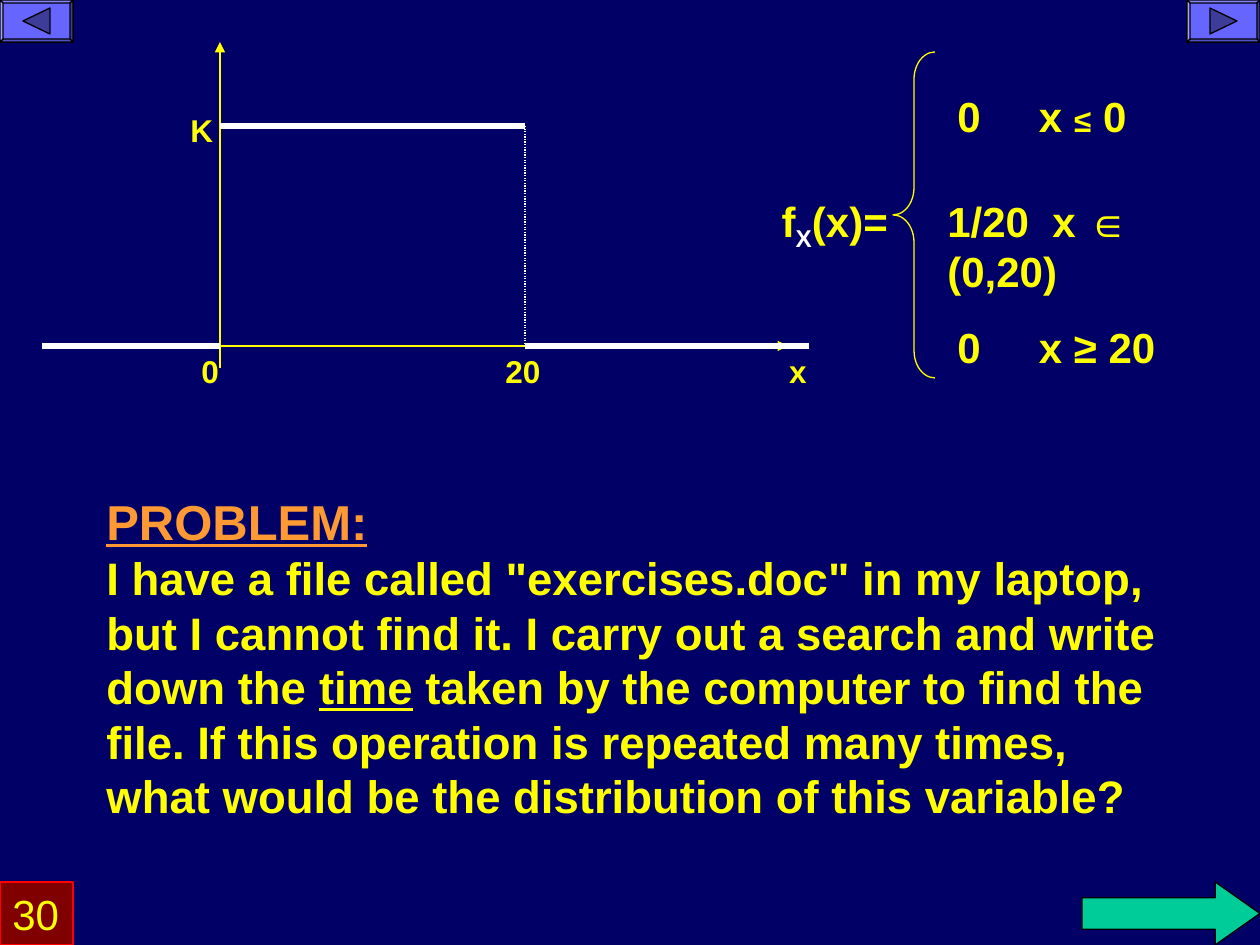
from lxml import etree
from pptx import Presentation
from pptx.dml.color import RGBColor
from pptx.enum.dml import MSO_LINE
from pptx.enum.shapes import MSO_CONNECTOR, MSO_SHAPE
from pptx.enum.text import MSO_ANCHOR, PP_ALIGN
from pptx.oxml.ns import qn
from pptx.util import Pt

NAVY = RGBColor(0x00, 0x00, 0x66)
YELLOW = RGBColor(0xFF, 0xFF, 0x00)
WHITE = RGBColor(0xFF, 0xFF, 0xFF)
BLACK = RGBColor(0x00, 0x00, 0x00)
ORANGE = RGBColor(0xFF, 0x99, 0x33)
GREEN = RGBColor(0x00, 0xCC, 0x99)
VIOLET = RGBColor(0x66, 0x66, 0xFF)
MAROON = RGBColor(0x80, 0x00, 0x00)
RED = RGBColor(0xFF, 0x00, 0x00)
STRAIGHT = MSO_CONNECTOR.STRAIGHT
DOTTED = MSO_LINE.ROUND_DOT
TOP = MSO_ANCHOR.TOP
LEFT, RIGHT = PP_ALIGN.LEFT, PP_ALIGN.RIGHT
RECT, ARROW, BRACE = MSO_SHAPE.RECTANGLE, MSO_SHAPE.RIGHT_ARROW, MSO_SHAPE.LEFT_BRACE
SCALE = 914400 / 126


def px(n):
    return round(n * SCALE)


def add_run(p, text, size=24, color=YELLOW, bold=True, underline=False, baseline=0):
    r = p.add_run()
    r.text = text
    r.font.name = "Arial"
    r.font.size = Pt(size)
    r.font.bold = bold
    r.font.underline = underline
    r.font.color.rgb = color
    if baseline:
        r.font._element.set("baseline", str(baseline))


class Deck:
    def __init__(self, width, height):
        self.prs = Presentation()
        self.prs.slide_width, self.prs.slide_height = px(width), px(height)
        self.s = self.prs.slides.add_slide(self.prs.slide_layouts[6])
        self.s.background.fill.solid()
        self.s.background.fill.fore_color.rgb = NAVY

    def style(self, sp, fill, line):
        sp.shadow.inherit = False
        if fill is None:
            sp.fill.background()
        else:
            sp.fill.solid()
            sp.fill.fore_color.rgb = fill
        sp.line.color.rgb = line
        sp.line.width = Pt(0.75)

    def fill_text(self, sp, paragraphs, align=LEFT):
        tf = sp.text_frame
        tf.word_wrap = True
        tf.vertical_anchor = TOP
        for i, runs in enumerate(paragraphs):
            p = tf.add_paragraph() if i else tf.paragraphs[0]
            p.alignment = align
            for text, fmt in runs:
                add_run(p, text, **fmt)

    def text(self, x, y, w, h, *paragraphs, align=LEFT):
        sp = self.s.shapes.add_textbox(px(x), px(y), px(w), px(h))
        self.fill_text(sp, paragraphs, align)

    def shape(self, kind, x, y, w, h, fill, line, adjust=()):
        sp = self.s.shapes.add_shape(kind, px(x), px(y), px(w), px(h))
        for i, value in enumerate(adjust):
            sp.adjustments[i] = value
        self.style(sp, fill, line)
        return sp

    def line(self, x1, y1, x2, y2, color=WHITE, width=3, dash=None, arrow=None):
        c = self.s.shapes.add_connector(STRAIGHT, px(x1), px(y1), px(x2), px(y2))
        c.line.color.rgb = color
        c.line.width = Pt(width)
        if dash:
            c.line.dash_style = dash
        if arrow:
            etree.SubElement(c.line._get_or_add_ln(), qn(arrow), type="triangle")
        etree.SubElement(c._element.spPr, qn("a:effectLst"))

    def button(self, x, w, h, tip, base):
        b, mid = 3, h // 2
        r, d = w - b, h - b
        facets = [
            ("norm", [(0, 0), (w, 0), (w, h), (0, h)]),
            ("lightenLess", [(0, 0), (w, 0), (r, b), (b, b)]),
            ("darken", [(w, 0), (w, h), (r, d), (r, b)]),
            ("darkenLess", [(w, h), (0, h), (b, d), (r, d)]),
            ("lighten", [(0, h), (0, 0), (b, b), (b, d)]),
            ("darken", [(tip, mid), (base, 8), (base, h - 8)]),
        ]
        fb = self.s.shapes.build_freeform(0, 0, scale=SCALE)
        for _, points in facets:
            fb.move_to(*points[0])
            fb.add_line_segments(points[1:], close=True)
        sp = fb.convert_to_shape(px(x), 0)
        self.style(sp, VIOLET, BLACK)
        outline = sp._element.xpath(".//a:path")[0]
        parts = outline.getparent()
        steps = list(outline)
        if steps[1].tag == qn("a:moveTo"):
            steps = steps[1:]
        shades = iter(facets)
        for step in steps:
            if step.tag == qn("a:moveTo"):
                part = etree.SubElement(parts, qn("a:path"), w=outline.get("w"),
                                        h=outline.get("h"), fill=next(shades)[0])
            part.append(step)
        parts.remove(outline)


def main():
    deck = Deck(1260, 945)
    left, step, right = 220, 525, 809
    top, axis = 126, 346

    deck.line(left, 42, left, 368, YELLOW, 0.75, arrow="a:headEnd")
    deck.line(42, axis, 788, axis, YELLOW, 0.75, arrow="a:tailEnd")
    for label, x, y, align in [("20", 493, axis, LEFT), ("0", 189, axis, LEFT),
                               ("K", 178, 105, LEFT), ("x", 746, axis, RIGHT)]:
        deck.text(x, y, 73, 50, [(label, dict(size=18))], align=align)

    deck.line(step, top, step, axis, width=0.75, dash=DOTTED)
    deck.line(left, top, step, top)
    deck.line(step, axis, right, axis)
    deck.line(42, axis, left, axis)

    deck.text(935, 189, 325, 63, [("1/20  x ∈ (0,20)", {})])
    deck.text(746, 189, 158, 70, [("  f", {}), ("X", dict(color=WHITE, baseline=-25000)),
                                  ("(x)=", {})])
    deck.shape(BRACE, 893, 52, 42, 326, None, YELLOW, (0.65, 0.5))
    deck.text(945, 84, 210, 113, [("0     x ", {}), ("≤", dict(size=18)), (" 0", {})])
    deck.text(945, 315, 262, 63, [("0     x ≥ 20", {})])

    deck.shape(ARROW, 1082, 882, 178, 63, GREEN, BLACK, (0.5, 0.71))
    deck.button(0, 73, 42, 23, 50)
    deck.button(1187, 73, 42, 50, 23)
    page = deck.shape(RECT, 0, 882, 73, 63, MAROON, RED)
    deck.fill_text(page, [[("30", dict(bold=False))]])

    body = dict(size=26)
    deck.text(94, 485, 1103, 345,
              [("PROBLEM:", dict(size=28, color=ORANGE, underline=True))],
              [('I have a file called "exercises.doc" in my laptop, but I cannot find it. '
                "I carry out a search and write down the ", body),
               ("time", dict(size=26, underline=True)),
               (" taken by the computer to find the file. If this operation is repeated "
                "many times, what would be the distribution of this variable?", body)])
    deck.prs.save("out.pptx")


if __name__ == "__main__":
    main()
